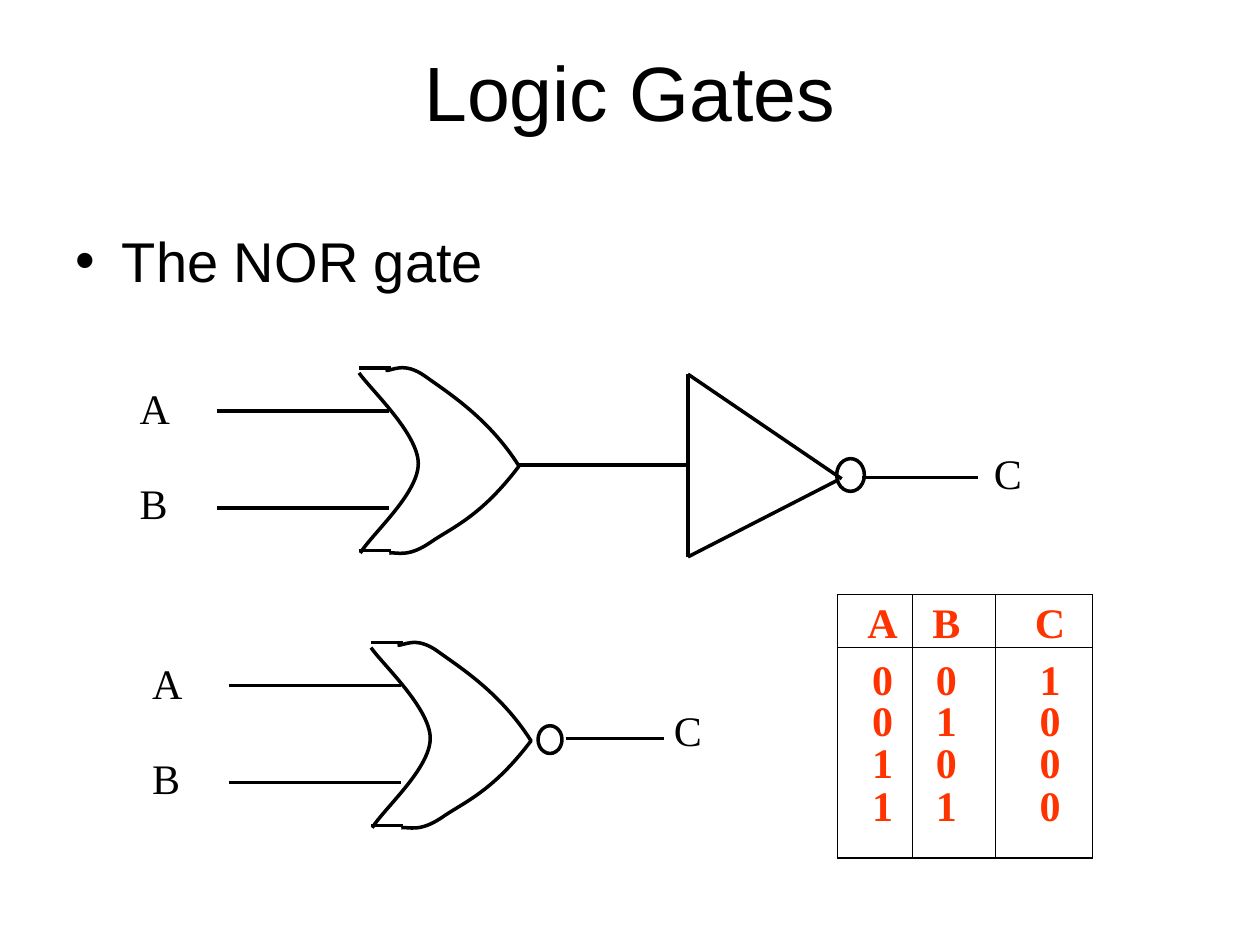
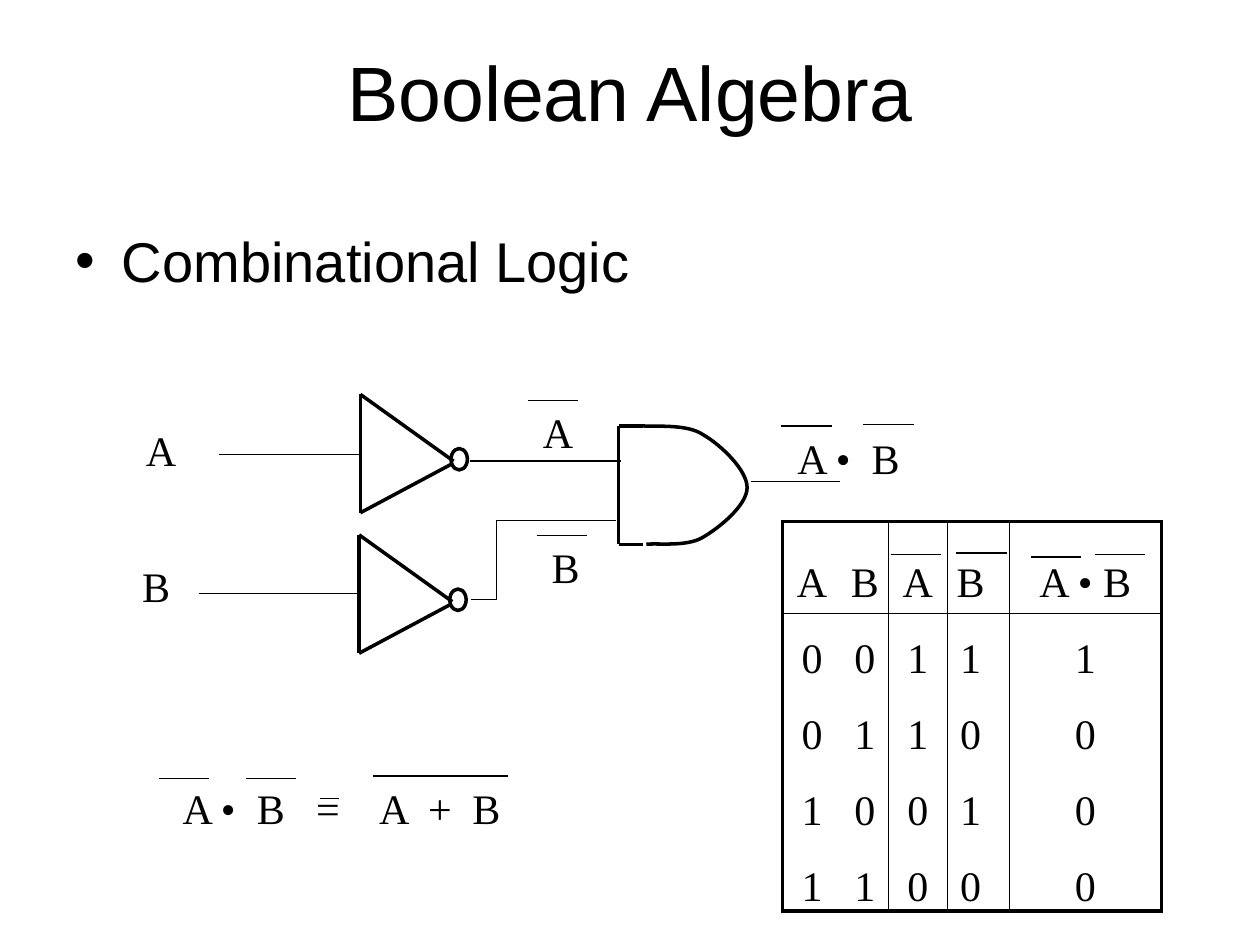
"""Build two slides on logic gates: the NOR gate and combinational logic."""
from dataclasses import dataclass

from lxml.etree import SubElement
from pptx import Presentation
from pptx.dml.color import RGBColor
from pptx.enum.shapes import MSO_CONNECTOR, MSO_SHAPE
from pptx.enum.text import MSO_ANCHOR, MSO_AUTO_SIZE, PP_ALIGN
from pptx.oxml.ns import qn
from pptx.util import Inches, Pt


@dataclass(frozen=True)
class Theme:
    ink: str = "000000"
    accent: str = "FF3300"
    sans: str = "Arial"
    serif: str = "Times New Roman"
    title: int = 44
    body: int = 32
    label: int = 24
    leading: int = 22
    thin: float = 0.75
    thick: float = 2


T = Theme()
INK = RGBColor.from_string(T.ink)

prs = Presentation()
prs.slide_width, prs.slide_height = Inches(10), Inches(7.5)
CELL = prs.slide_width // 100


def write(tf, text, size=T.label, font=T.serif, color=T.ink, bold=False,
          align=PP_ALIGN.LEFT, anchor=MSO_ANCHOR.TOP, bullet=None, leading=None,
          tabs=()):
    tf.word_wrap = True
    tf.vertical_anchor = anchor
    p = tf.paragraphs[0]
    p.alignment = align
    p.space_before = Pt(0)
    if leading:
        p.line_spacing = Pt(leading)
    pPr = p._p.get_or_add_pPr()
    if bullet:
        pPr.set("marL", str(Inches(0.37)))
        pPr.set("indent", str(-Inches(0.37)))
        SubElement(pPr, qn("a:buFont"), typeface=T.sans)
        SubElement(pPr, qn("a:buChar"), char=bullet)
    if tabs:
        stops = SubElement(pPr, qn("a:tabLst"))
        for stop in tabs:
            SubElement(stops, qn("a:tab"), pos=str(int(stop * CELL)), algn="l")
    r = p.add_run()
    r.text = text
    r.font.size, r.font.name, r.font.bold = Pt(size), font, bold
    r.font.color.rgb = RGBColor.from_string(color)


or_offsets = [(0, 0), (0.95, 21.8)]
or_wires = [(28.5, 29.2, 31, 29.2), (17.2, 32.6, 30.9, 32.6),
            (28.5, 43.7, 31, 43.7), (17.2, 40.3, 30.9, 40.3)]
or_front = [(30.6, 29.4), (31.1, 29.5), (32, 28.6), (33.8, 29.9),
            (35.6, 31.2), (38.8, 33.2), (41.2, 37),
            (38.1, 41.1), (35.8, 41.9), (34.1, 43.1),
            (32.3, 44.3), (31.5, 43.8), (30.9, 43.9)]
or_back = [(28.5, 29.6), (29.3, 30.8), (33.2, 34.4), (33.2, 36.8),
           (33.2, 39.2), (29.5, 42.4), (28.6, 43.9)]
and_front = [(51, 33.8), (51.8, 33.9), (54.5, 33.6), (55.8, 34.5),
             (57.2, 35.3), (59.3, 37.3), (59.3, 38.7),
             (59.3, 40.1), (57.1, 41.9), (55.7, 42.7),
             (54.4, 43.4), (52.2, 43.1), (51.3, 43.2)]
not_offsets = [(0, 0), (-0.1, 11.15)]
not_sides = [(28.6, 40.7, 35.9, 36.8), (28.6, 31.3, 28.6, 40.7),
             (28.6, 31.3, 36, 36.6)]

slides = [
    dict(
        title="Logic Gates", bullet="The NOR gate",
        thick=[(x1 + dx, y1 + dy, x2 + dx, y2 + dy)
               for dx, dy in or_offsets for x1, y1, x2, y2 in or_wires]
        + [(44.9, 58.6, 52.7, 58.6), (54.6, 29.7, 54.6, 44.2),
           (54.6, 29.7, 66.8, 38), (54.6, 44.2, 66.5, 38.1),
           (41.1, 36.9, 54.7, 36.9), (68.4, 37.9, 77.6, 37.9)],
        thin=[], bends=[],
        curves=[[(x + dx, y + dy) for x, y in side]
                for dx, dy in or_offsets for side in (or_front, or_back)],
        circles=[(42.7, 57.6, 1.9, 2.2), (66.4, 36.4, 2.2, 2.6)],
        labels=[("A", 10.1, 29.9, 14.2), ("B", 10.1, 37.4, 14.2),
                ("C", 77.9, 35, 10), ("A", 11.1, 51.7, 14.2),
                ("B", 11.1, 59.2, 14.2), ("C", 52.5, 55.4, 10)],
        tabs=[],
        table=dict(
            at=(66.5, 47.2), widths=[5.9, 6.6, 7.7], nudges=[0.6, -0.6, 0.5],
            heights=[4.2, 4.5, 3.3, 3.3, 5.6], below=[0, 0, 0, 0, 2.2],
            color=T.accent, bold=True, frame=T.thin, unruled=[],
            rows=["A|B|C", "0|0|1", "0|1|0", "1|0|0", "1|1|0"]),
    ),
    dict(
        title="Boolean Algebra", bullet="Combinational Logic",
        thick=[(x1 + dx, y1 + dy, x2 + dx, y2 + dy)
               for dx, dy in not_offsets for x1, y1, x2, y2 in not_sides]
        + [(49.1, 33.8, 49.1, 43.2), (49.1, 33.8, 51, 33.8),
           (49.1, 43.2, 51, 43.2)],
        thin=[(17.4, 36.1, 28.5, 36.1), (37.3, 36.6, 49.3, 36.6),
              (59.6, 38.2, 66.7, 38.2), (15.8, 47.1, 28.5, 47.1),
              (29.6, 61.6, 40.3, 61.6), (25.4, 63.4, 26.9, 63.4)]
        + [(x, y, x + 4, y) for x, y in [
            (41.9, 31.8), (42.6, 42.5), (62, 33.8), (68.5, 33.7),
            (70.7, 44), (75.9, 43.9), (81.8, 44.2), (86.9, 44),
            (12.6, 61.8), (19.5, 61.8)]],
        bends=[[(37.4, 47.6), (39.4, 47.6), (39.4, 41.3), (48.9, 41.3)]],
        curves=[and_front],
        circles=[(35.8 + dx, 35.6 + dy, 1.3, 1.7) for dx, dy in not_offsets],
        labels=[("A", 10.6, 33.2, 6.2), ("B", 10.3, 44, 6.2),
                ("A", 42.1, 31.8, 8.1), ("B", 42.8, 42.5, 8.1),
                ("A •\tB", 62.3, 33.8, 12.8),
                ("A •\tB\t=\tA\t+\tB", 13.5, 61.6, 33.5)],
        tabs=[5.9, 10.6, 15.6, 19.5, 23],
        table=dict(
            at=(62.1, 41.4), widths=[4.7, 3.7, 4.7, 4.9, 12.1],
            nudges=[0, 0, 0, -0.6, 0],
            heights=[7.3, 5.5, 6, 6, 6.1], below=[0.6, 0, 0, 0, 0],
            color=T.ink, bold=False, frame=T.thick, unruled=[1],
            rows=["A|B|A|B|A • B", "0|0|1|1|1", "0|1|1|0|0",
                  "1|0|0|1|0", "1|1|0|0|0"]),
    ),
]

for content in slides:
    s = prs.slides.add_slide(prs.slide_layouts[5])
    sp = s.shapes.title
    sp.left, sp.top, sp.width, sp.height = (int(v * CELL) for v in (5, 3, 90, 10.3))
    write(sp.text_frame, content["title"], size=T.title, font=T.sans,
          align=PP_ALIGN.CENTER)
    sp = s.shapes.add_textbox(*(int(v * CELL) for v in (5, 17.5, 90, 49.5)))
    write(sp.text_frame, content["bullet"], size=T.body, font=T.sans, bullet="•")

    table = content["table"]
    box = (*table["at"], sum(table["widths"]), sum(table["heights"]))
    rows = [row.split("|") for row in table["rows"]]
    last_row, last_col = len(rows) - 1, len(rows[0]) - 1
    tbl = s.shapes.add_table(len(rows), len(rows[0]),
                             *(int(v * CELL) for v in box)).table
    tbl.first_row = tbl.horz_banding = False
    for col, width in zip(tbl.columns, table["widths"]):
        col.width = int(width * CELL)
    for i, row in enumerate(rows):
        tbl.rows[i].height = int(table["heights"][i] * CELL)
        for j, text in enumerate(row):
            cell = tbl.cell(i, j)
            nudge = int(2 * table["nudges"][j] * CELL)
            cell.margin_left, cell.margin_right = max(nudge, 0), max(-nudge, 0)
            cell.margin_top = 0
            cell.margin_bottom = int(table["below"][i] * CELL)
            cell.vertical_anchor = MSO_ANCHOR.BOTTOM
            cell.fill.background()
            write(cell.text_frame, text, color=table["color"], bold=table["bold"],
                  align=PP_ALIGN.CENTER, anchor=None, leading=T.leading)
            tcPr = cell._tc.get_or_add_tcPr()
            borders = [("L", j == 0, j not in table["unruled"]),
                       ("R", j == last_col, j + 1 not in table["unruled"]),
                       ("T", i == 0, i == 1),
                       ("B", i == last_row, i == 0)]
            for k, (side, outer, inner) in enumerate(borders):
                width = table["frame"] if outer else T.thin
                ln = SubElement(tcPr, qn("a:ln" + side), w=str(Pt(width)))
                if outer or inner:
                    fill = SubElement(ln, qn("a:solidFill"))
                    SubElement(fill, qn("a:srgbClr"), val=T.ink)
                else:
                    SubElement(ln, qn("a:noFill"))
                tcPr.insert(k, ln)

    for weight, lines in ((T.thick, content["thick"]), (T.thin, content["thin"])):
        for line in lines:
            c = s.shapes.add_connector(MSO_CONNECTOR.STRAIGHT,
                                       *(int(v * CELL) for v in line))
            c.line.color.rgb, c.line.width = INK, Pt(weight)
            SubElement(c._element.spPr, qn("a:effectLst"))

    outlined = []
    for weight, outlines in ((T.thick, content["curves"]), (T.thin, content["bends"])):
        for points in outlines:
            grid = [(int(x * CELL), int(y * CELL)) for x, y in points]
            builder = s.shapes.build_freeform(*grid[0])
            builder.add_line_segments(grid[1:], close=False)
            sp = builder.convert_to_shape()
            outlined.append((sp, weight))
            if outlines is content["curves"]:
                track = next(sp._element.iter(qn("a:path")))
                steps = track.findall(qn("a:lnTo"))
                for i in range(0, len(steps), 3):
                    bezier = SubElement(track, qn("a:cubicBezTo"))
                    for step in steps[i:i + 3]:
                        bezier.append(step[0])
                        track.remove(step)
    for circle in content["circles"]:
        sp = s.shapes.add_shape(MSO_SHAPE.OVAL, *(int(v * CELL) for v in circle))
        outlined.append((sp, T.thick))
    for sp, weight in outlined:
        sp.fill.background()
        sp.line.color.rgb, sp.line.width = INK, Pt(weight)
        sp.shadow.inherit = False

    for text, x, y, width in content["labels"]:
        sp = s.shapes.add_textbox(*(int(v * CELL) for v in (x, y, width, 5)))
        write(sp.text_frame, text, tabs=content["tabs"])
        sp.text_frame.auto_size = MSO_AUTO_SIZE.SHAPE_TO_FIT_TEXT

prs.save("out.pptx")
